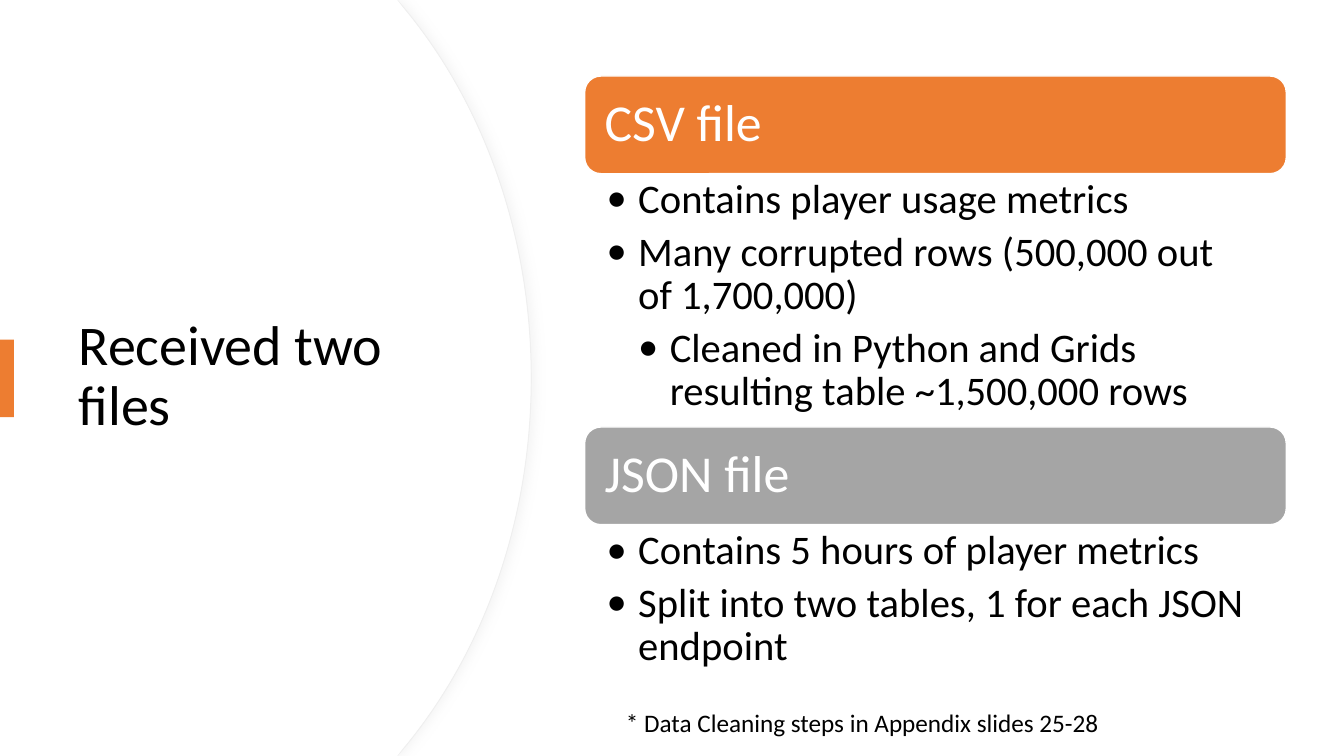
"""Build the slide that introduces the two received data files."""
from dataclasses import dataclass

import lxml.etree
import pptx
import pptx.dml.color
import pptx.enum.shapes
import pptx.enum.text
import pptx.oxml
import pptx.oxml.ns
import pptx.shapes.autoshape
import pptx.slide
import pptx.text.text
import pptx.util

Pt = pptx.util.Pt
qn = pptx.oxml.ns.qn
RECTANGLE = pptx.enum.shapes.MSO_SHAPE.RECTANGLE
ROUNDED = pptx.enum.shapes.MSO_SHAPE.ROUNDED_RECTANGLE
MIDDLE = pptx.enum.text.MSO_ANCHOR.MIDDLE
LEFT = pptx.enum.text.PP_ALIGN.LEFT

COLOURS = {
    "white": "FFFFFF",
    "black": "000000",
    "orange": "ED7D31",
    "grey": "A5A5A5",
    "edge": "EFEFEF",
    "shadow": "D9D9D9",
}
FONT = "Calibri"
SLIDE_WIDTH, SLIDE_HEIGHT = 960, 540
CARD_LEFT, CARD_TOP, CARD_WIDTH = 417.6, 54.3, 501.2
HEADING_HEIGHT = 69.8
BULLET_INDENT = 22.5


@dataclass(frozen=True)
class Bullet:
    """One bulleted line and its level."""

    text: str
    level: int = 1


@dataclass(frozen=True)
class FileCard:
    """A coloured heading with the bullets below it."""

    heading: str
    colour: str
    body_height: float
    bullets: tuple[Bullet, ...]


CARDS = (
    FileCard("CSV file", "orange", 180.9, (
        Bullet("Contains player usage metrics"),
        Bullet("Many corrupted rows (500,000 out of 1,700,000)"),
        Bullet("Cleaned in Python and Grids resulting table ~1,500,000 rows", 2),
    )),
    FileCard("JSON file", "grey", 111.6, (
        Bullet("Contains 5 hours of player metrics"),
        Bullet("Split into two tables, 1 for each JSON endpoint"),
    )),
)


def rgb(name: str) -> pptx.dml.color.RGBColor:
    """Return the named colour."""
    return pptx.dml.color.RGBColor.from_string(COLOURS[name])


def format_text(paragraph: pptx.text.text._Paragraph, size: float, colour: str) -> None:
    """Set the alignment and run fonts of a paragraph."""
    paragraph.alignment = LEFT
    for run in paragraph.runs:
        run.font.name = FONT
        run.font.size = Pt(size)
        run.font.color.rgb = rgb(colour)


def paint(shape: pptx.shapes.autoshape.Shape, fill: str,
          line: str | None = None, width: float = 1) -> None:
    """Give a shape a flat fill and an optional outline."""
    shape.shadow.inherit = False
    shape.fill.solid()
    shape.fill.fore_color.rgb = rgb(fill)
    if line is None:
        shape.line.fill.background()
    else:
        shape.line.color.rgb = rgb(line)
        shape.line.width = Pt(width)


def add_curved_panel(slide: pptx.slide.Slide, right: float) -> pptx.shapes.autoshape.Shape:
    """Draw a full-height panel whose right side bulges to the given position."""
    upper = [(283.7, 0), (right - 90.8, 5.8), (right - 34.6, 73.4), (right, 167), (right, 270)]
    lower = [(x, SLIDE_HEIGHT - y) for x, y in reversed(upper[:-1])]
    outline = upper + lower + [(0, SLIDE_HEIGHT)]
    builder = slide.shapes.build_freeform(0, 0)
    builder.add_line_segments([(Pt(x), Pt(y)) for x, y in outline], close=True)
    panel = builder.convert_to_shape()
    segments = list(panel.element.spPr.iter(qn("a:lnTo")))
    for first in (2, 5):
        curve = lxml.etree.Element(qn("a:cubicBezTo"))
        segments[first].addprevious(curve)
        for segment in segments[first:first + 3]:
            curve.append(segment[0])
            segment.getparent().remove(segment)
    return panel


def add_shadow(shape: pptx.shapes.autoshape.Shape) -> None:
    """Cast a soft shadow to the right of a shape."""
    effects = shape.element.spPr.find(qn("a:effectLst"))
    effects.append(pptx.oxml.parse_xml(
        f'<a:outerShdw {pptx.oxml.ns.nsdecls("a")} blurRad="{Pt(7)}" dist="{Pt(3)}" dir="0" '
        f'algn="l" rotWithShape="0"><a:srgbClr val="{COLOURS["shadow"]}">'
        '<a:alpha val="25000"/></a:srgbClr></a:outerShdw>'))


def add_bullet(paragraph: pptx.text.text._Paragraph, bullet: Bullet) -> None:
    """Fill a paragraph with one bulleted line."""
    paragraph.text = bullet.text
    paragraph.level = bullet.level
    properties = paragraph._p.get_or_add_pPr()
    properties.set("marL", str(Pt(BULLET_INDENT * bullet.level)))
    properties.set("indent", str(-Pt(BULLET_INDENT)))
    lxml.etree.SubElement(properties, qn("a:buFont")).set("typeface", FONT)
    lxml.etree.SubElement(properties, qn("a:buChar")).set("char", "•")
    paragraph.line_spacing = 0.9
    paragraph.space_after = Pt(6)
    format_text(paragraph, 29, "black")


def add_card(slide: pptx.slide.Slide, card: FileCard, top: float) -> None:
    """Draw a heading bar and its bulleted text."""
    bar = slide.shapes.add_shape(ROUNDED, Pt(CARD_LEFT), Pt(top), Pt(CARD_WIDTH), Pt(HEADING_HEIGHT))
    paint(bar, card.colour, "white")
    frame = bar.text_frame
    frame.text = card.heading
    frame.vertical_anchor = MIDDLE
    frame.margin_left = frame.margin_right = Pt(10.9)
    frame.paragraphs[0].line_spacing = 0.9
    format_text(frame.paragraphs[0], 37, "white")

    body = slide.shapes.add_textbox(Pt(CARD_LEFT), Pt(top + HEADING_HEIGHT),
                                    Pt(CARD_WIDTH), Pt(card.body_height))
    frame = body.text_frame
    frame.word_wrap = True
    frame.margin_left, frame.margin_right = Pt(15.8), Pt(20.9)
    for index, bullet in enumerate(card.bullets):
        add_bullet(frame.add_paragraph() if index else frame.paragraphs[0], bullet)


def add_title(slide: pptx.slide.Slide) -> None:
    """Place the title in front of the curved panel."""
    title = slide.shapes.title
    title.element.getparent().append(title.element)
    title.left, title.top, title.width, title.height = Pt(49), Pt(91.4), Pt(283.7), Pt(356.4)
    frame = title.text_frame
    frame.text = "Received two files"
    frame.word_wrap = True
    frame.auto_size = pptx.enum.text.MSO_AUTO_SIZE.NONE
    frame.vertical_anchor = MIDDLE
    frame.paragraphs[0].line_spacing = 0.9
    format_text(frame.paragraphs[0], 40, "black")


def main() -> None:
    """Create and save the presentation."""
    presentation = pptx.Presentation()
    presentation.slide_width, presentation.slide_height = Pt(SLIDE_WIDTH), Pt(SLIDE_HEIGHT)
    slide = presentation.slides.add_slide(presentation.slide_layouts[5])

    edged_panel = add_curved_panel(slide, 379.5)
    paint(edged_panel, "white", "edge", 0.75)
    add_shadow(edged_panel)
    paint(add_curved_panel(slide, 378.8), "white")
    add_title(slide)
    accent = slide.shapes.add_shape(RECTANGLE, Pt(0), Pt(242.6), Pt(10), Pt(55.4))
    paint(accent, "orange")

    top = CARD_TOP
    for card in CARDS:
        add_card(slide, card, top)
        top += HEADING_HEIGHT + card.body_height

    footnote = slide.shapes.add_textbox(Pt(440), Pt(501.5), Pt(519.8), Pt(29))
    footnote.text_frame.word_wrap = True
    footnote.text_frame.text = "* Data Cleaning steps in Appendix slides 25-28"
    format_text(footnote.text_frame.paragraphs[0], 18, "black")
    presentation.save("out.pptx")


if __name__ == "__main__":
    main()
